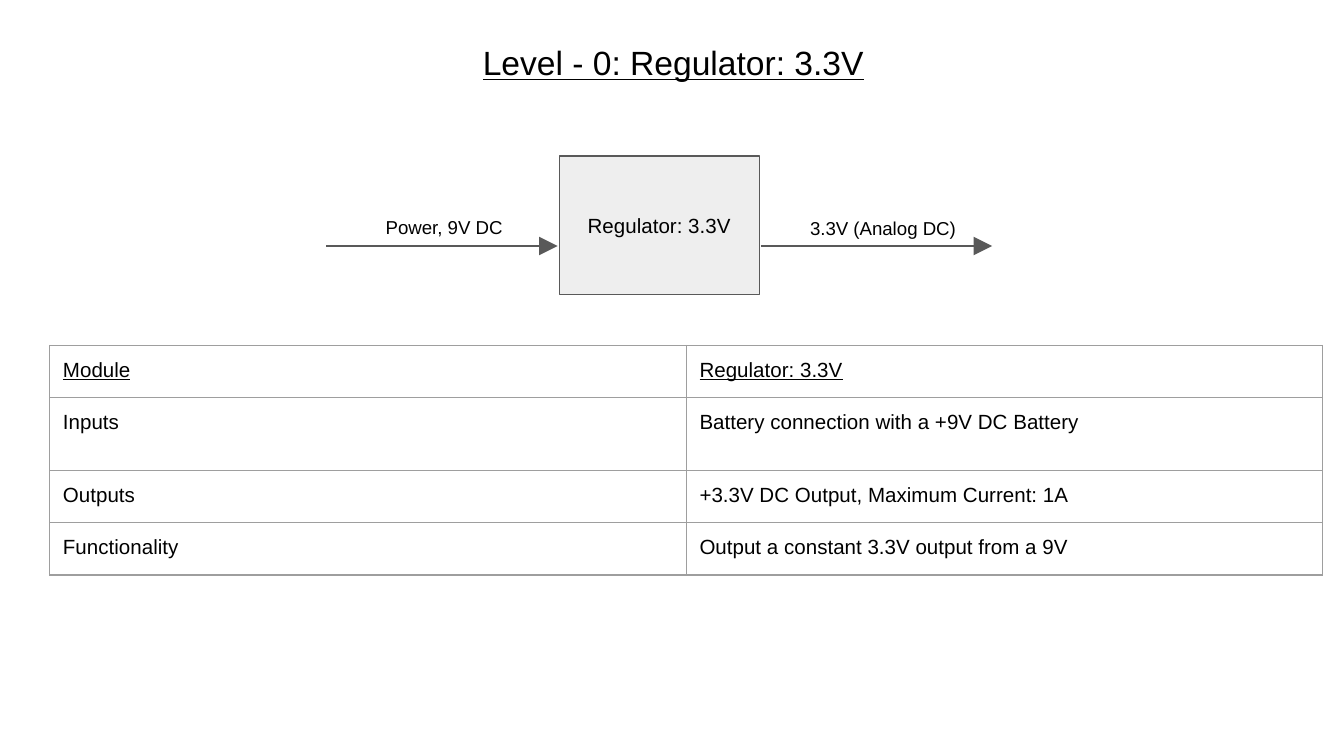
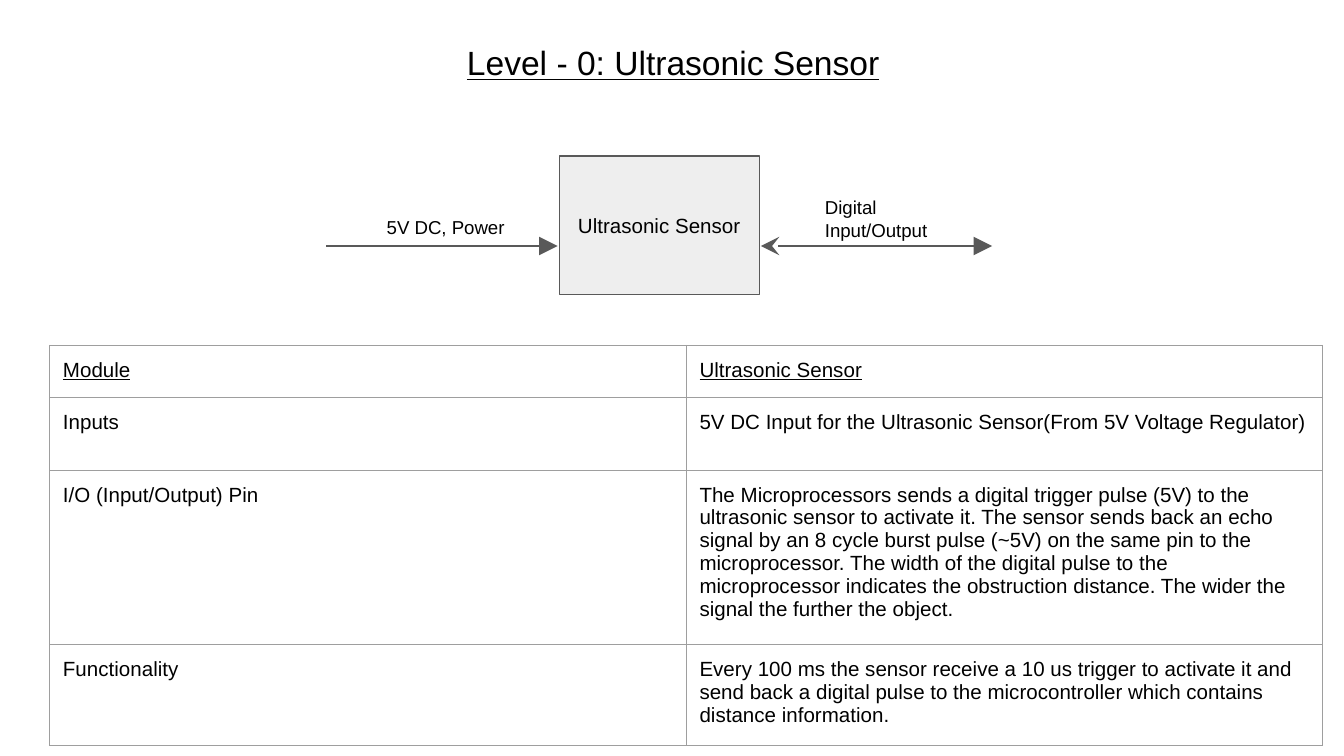
"""Build two block diagram slides, each with a table of the module's traits."""
from typing import NamedTuple

from lxml.etree import SubElement
from pptx import Presentation
from pptx.dml.color import RGBColor
from pptx.enum.shapes import MSO_CONNECTOR as Link, MSO_SHAPE as Form
from pptx.enum.text import MSO_ANCHOR as Anchor, PP_ALIGN as Align
from pptx.oxml.ns import qn
from pptx.slide import Slide
from pptx.text.text import TextFrame
from pptx.util import Cm, Pt

BLACK = RGBColor(0x00, 0x00, 0x00)
PALE = RGBColor(0xEE, 0xEE, 0xEE)
GREY = RGBColor(0x59, 0x59, 0x59)
RULE = RGBColor(0x9E, 0x9E, 0x9E)
FONT = "Arial"
INSET = Cm(0.25)
STROKE = Pt(0.75)
WIRE_Y = 4.65
HEIGHTS = (0.99, 1.37, 0.99, 0.99)
COL = 12.03


class Area(NamedTuple):
    """Left, top, width and height in centimetres."""
    left: float
    top: float
    width: float
    height: float


class Wire(NamedTuple):
    """Level arrow with a label above it."""
    start: float
    end: float
    label: str
    area: Area
    head: str = "none"


class Module(NamedTuple):
    """What one slide tells about a module."""
    name: str
    wires: tuple[Wire, ...]
    rows: tuple[tuple[str, str], ...]


TITLE = Area(0.89, 0.38, 23.67, 1.6)
BLOCK = Area(10.57, 2.95, 3.78, 2.62)
GRID = Area(0.94, 6.53, 2 * COL, sum(HEIGHTS))
WIRE_IN = (6.17, 10.54)
WIRE_OUT = (14.38, 18.75)

MODULES = (
    Module(
        "Regulator: 3.3V",
        (
            Wire(*WIRE_IN, "Power, 9V DC", Area(7.04, 3.96, 3, 0.33)),
            Wire(*WIRE_OUT, "3.3V (Analog DC)", Area(15.06, 3.99, 3.43, 0.33)),
        ),
        (
            ("Inputs", "Battery connection with a +9V DC Battery"),
            ("Outputs", "+3.3V DC Output, Maximum Current: 1A"),
            ("Functionality", "Output a constant 3.3V output from a 9V"),
        ),
    ),
    Module(
        "Ultrasonic Sensor",
        (
            Wire(*WIRE_IN, "5V DC, Power", Area(7.06, 3.96, 3, 0.33)),
            Wire(*WIRE_OUT, "Digital Input/Output",
                 Area(15.34, 3.63, 3.43, 0.33), "stealth"),
        ),
        (
            ("Inputs", "5V DC Input for the Ultrasonic Sensor"
                       "(From 5V Voltage Regulator)"),
            ("I/O (Input/Output) Pin",
             "The Microprocessors sends a digital trigger pulse (5V) to the "
             "ultrasonic sensor to activate it. The sensor sends back an echo "
             "signal by an 8 cycle burst pulse (~5V) on the same pin to the "
             "microprocessor. The width of the digital pulse to the "
             "microprocessor indicates the obstruction distance. The wider "
             "the signal the further the object."),
            ("Functionality",
             "Every 100 ms the sensor receive a 10 us trigger to activate it "
             "and send back a digital pulse to the microcontroller which "
             "contains distance information."),
        ),
    ),
)


def to_cm(area: Area) -> list[Cm]:
    """Turn an area into lengths."""
    return [Cm(side) for side in area]


def write(frame: TextFrame, text: str, size: int, under: bool = False,
          align: Align = Align.LEFT, anchor: Anchor = Anchor.TOP) -> None:
    """Fill a frame with one styled paragraph."""
    frame.margin_left = frame.margin_right = INSET
    frame.margin_top = frame.margin_bottom = INSET
    frame.word_wrap = True
    frame.vertical_anchor = anchor
    para = frame.paragraphs[0]
    para.text = text
    para.alignment = align
    font = para.font
    font.name, font.size, font.underline = FONT, Pt(size), under
    font.color.rgb = BLACK
    for run in para.runs:
        run.font.underline = under


def add_title(slide: Slide, text: str) -> None:
    """Add the underlined slide title."""
    box = slide.shapes.add_textbox(*to_cm(TITLE))
    write(box.text_frame, text, 18, True, Align.CENTER, Anchor.MIDDLE)


def add_block(slide: Slide, text: str) -> None:
    """Add the module's block."""
    block = slide.shapes.add_shape(Form.RECTANGLE, *to_cm(BLOCK))
    block.shadow.inherit = False
    block.fill.solid()
    block.fill.fore_color.rgb = PALE
    block.line.color.rgb = GREY
    block.line.width = STROKE
    write(block.text_frame, text, 11, False, Align.CENTER, Anchor.MIDDLE)


def add_wire(slide: Slide, wire: Wire) -> None:
    """Add an arrow and its label."""
    link = slide.shapes.add_connector(
        Link.STRAIGHT, Cm(wire.start), Cm(WIRE_Y), Cm(wire.end), Cm(WIRE_Y))
    link.line.color.rgb = GREY
    link.line.width = STROKE
    props = link._element.spPr
    line = props.find(qn("a:ln"))
    for tag, kind in (("a:headEnd", wire.head), ("a:tailEnd", "triangle")):
        SubElement(line, qn(tag), type=kind, w="lg", len="lg")
    SubElement(props, qn("a:effectLst"))
    label = slide.shapes.add_textbox(*to_cm(wire.area))
    write(label.text_frame, wire.label, 10)


def add_grid(slide: Slide, rows: tuple[tuple[str, str], ...]) -> None:
    """Add the ruled table, its first row underlined."""
    table = slide.shapes.add_table(len(rows), 2, *to_cm(GRID)).table
    table.first_row = table.horz_banding = False
    for col in table.columns:
        col.width = Cm(COL)
    for at, (row, height, texts) in enumerate(zip(table.rows, HEIGHTS, rows)):
        row.height = Cm(height)
        for cell, text in zip(row.cells, texts):
            write(cell.text_frame, text, 11, at == 0)
            cell.margin_left = cell.margin_right = INSET
            cell.margin_top = cell.margin_bottom = INSET
            props = cell._tc.get_or_add_tcPr()
            for side in "LRTB":
                edge = SubElement(props, qn(f"a:ln{side}"), w=str(STROKE))
                fill = SubElement(edge, qn("a:solidFill"))
                SubElement(fill, qn("a:srgbClr"), val=str(RULE))
            cell.fill.background()


def main() -> None:
    """Build and save the deck."""
    deck = Presentation()
    deck.slide_width, deck.slide_height = Cm(25.4), Cm(14.29)
    for module in MODULES:
        slide = deck.slides.add_slide(deck.slide_layouts[6])
        add_title(slide, f"Level - 0: {module.name}")
        add_block(slide, module.name)
        for wire in module.wires:
            add_wire(slide, wire)
        add_grid(slide, (("Module", module.name), *module.rows))
    deck.save("out.pptx")


if __name__ == "__main__":
    main()
